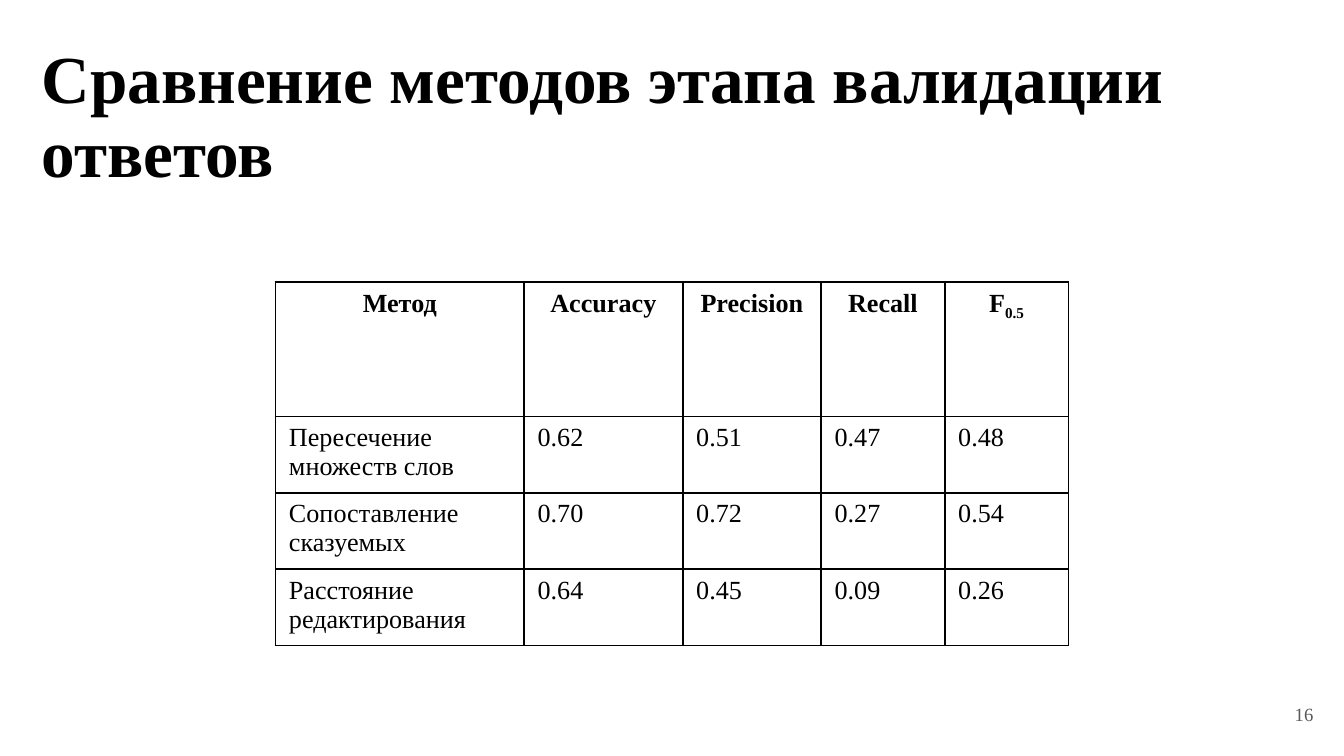
from lxml import etree
from pptx import Presentation
from pptx.dml.color import RGBColor
from pptx.enum.text import MSO_ANCHOR, PP_ALIGN
from pptx.oxml.ns import qn
from pptx.util import Inches, Pt

LEFT, CENTER, RIGHT = PP_ALIGN.LEFT, PP_ALIGN.CENTER, PP_ALIGN.RIGHT
TOP, MIDDLE = MSO_ANCHOR.TOP, MSO_ANCHOR.MIDDLE
FONT = "Times New Roman"
COLORS = {"text": "000000", "border": "000000", "number": "595959"}

COLUMN_WIDTHS = [1.85, 1.18, 1.03, 0.92, 0.92]
ROW_HEIGHTS = [1, 0.35, 0.35, 0.35]
HEADERS = ["Метод", "Accuracy", "Precision", "Recall", "F"]
F_SUBSCRIPT = "0.5"
RESULTS = [
    ["Пересечение множеств слов", "0.62", "0.51", "0.47", "0.48"],
    ["Сопоставление сказуемых", "0.70", "0.72", "0.27", "0.54"],
    ["Расстояние редактирования", "0.64", "0.45", "0.09", "0.26"],
]


def write_text(paragraph, text, size, color="text", bold=False, align=LEFT):
    paragraph.add_run().text = text
    paragraph.alignment = align
    font = paragraph.font
    font.name = FONT
    font.size = Pt(size)
    font.bold = bold
    font.color.rgb = RGBColor.from_string(COLORS[color])
    etree.SubElement(paragraph._p, qn("a:endParaRPr"), sz=str(size * 100))


def add_text_box(slide, box, insets, anchor=TOP):
    shape = slide.shapes.add_textbox(*map(Inches, box))
    frame = shape.text_frame
    frame.word_wrap = True
    frame.vertical_anchor = anchor
    (frame.margin_left, frame.margin_top,
     frame.margin_right, frame.margin_bottom) = map(Inches, insets)
    return frame.paragraphs[0]


def add_borders(cell, width=1):
    properties = cell._tc.get_or_add_tcPr()
    for position, side in enumerate(("a:lnL", "a:lnR", "a:lnT", "a:lnB")):
        line = etree.Element(qn(side), w=str(Pt(width)))
        fill = etree.SubElement(line, qn("a:solidFill"))
        etree.SubElement(fill, qn("a:srgbClr"), val=COLORS["border"])
        properties.insert(position, line)


def add_results_table(slide, left, top):
    rows = [HEADERS] + RESULTS
    table = slide.shapes.add_table(
        len(rows), len(HEADERS), Inches(left), Inches(top),
        Inches(sum(COLUMN_WIDTHS)), Inches(sum(ROW_HEIGHTS))).table
    table.first_row = False
    table.horz_banding = False
    for column, width in zip(table.columns, COLUMN_WIDTHS):
        column.width = Inches(width)
    for row, height in zip(table.rows, ROW_HEIGHTS):
        row.height = Inches(height)
    for row_index, texts in enumerate(rows):
        is_header = row_index == 0
        for column_index, text in enumerate(texts):
            cell = table.cell(row_index, column_index)
            cell.fill.background()
            add_borders(cell)
            write_text(cell.text_frame.paragraphs[0], text, 14,
                       bold=is_header, align=CENTER if is_header else LEFT)
    return table


def add_subscript(paragraph, text):
    run = paragraph.add_run()
    run.text = text
    run._r.get_or_add_rPr().set("baseline", "-25000")


def main():
    presentation = Presentation()
    presentation.slide_width = Inches(10)
    presentation.slide_height = Inches(10 * 9 / 16)
    slide = presentation.slides.add_slide(presentation.slide_layouts[6])

    title = add_text_box(slide, (0.22, 0.24, 9.64, 0.65), (0.09, 0.08, 0.09, 0.04))
    write_text(title, "Сравнение методов этапа валидации ответов", 36, bold=True)
    title.line_spacing = 0.93

    table = add_results_table(slide, 2.05, 2.1)
    add_subscript(table.cell(0, len(HEADERS) - 1).text_frame.paragraphs[0], F_SUBSCRIPT)

    number = add_text_box(slide, (9.27, 5.1, 0.6, 0.43), (0.1, 0.1, 0.1, 0.1), MIDDLE)
    write_text(number, "16", 10, color="number", align=RIGHT)

    presentation.save("out.pptx")


if __name__ == "__main__":
    main()
